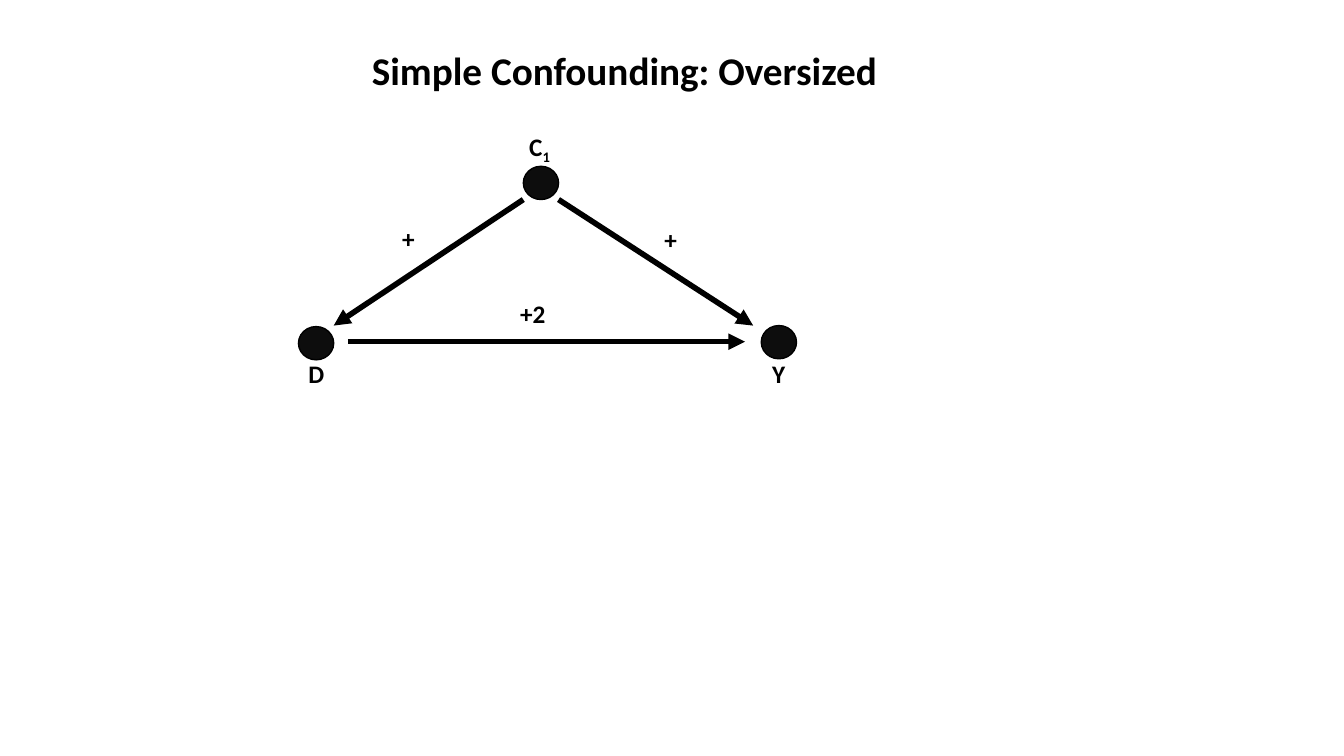
import pptx
import pptx.dml.color
import pptx.enum.shapes
import pptx.enum.text
import pptx.oxml
import pptx.oxml.ns
import pptx.util

Inches = pptx.util.Inches
BLACK = "000000"
DOT = "0D0D0D"


def color(code):
    return pptx.dml.color.RGBColor.from_string(code)


def write(slide, text, left, top, width, height=0.4, size=18, sub="", wrap=False):
    box = slide.shapes.add_textbox(*map(Inches, (left, top, width, height)))
    frame = box.text_frame
    frame.word_wrap = wrap
    frame.auto_size = pptx.enum.text.MSO_AUTO_SIZE.SHAPE_TO_FIT_TEXT
    for part, base in ((text, None), (sub, "-25000")):
        if not part:
            continue
        run = frame.paragraphs[0].add_run()
        run.text = part
        run.font.name = "Calibri"
        run.font.size = pptx.util.Pt(size)
        run.font.bold = True
        run.font.color.rgb = color(BLACK)
        if base:
            run.font._element.set("baseline", base)


def add_node(slide, left, top):
    oval = pptx.enum.shapes.MSO_SHAPE.OVAL
    node = slide.shapes.add_shape(oval, *map(Inches, (left, top, 0.35, 0.33)))
    node.shadow.inherit = False
    node.fill.solid()
    node.fill.fore_color.rgb = color(DOT)
    node.line.color.rgb = color(BLACK)
    node.line.width = pptx.util.Pt(1)


def add_arrow(slide, *ends):
    kind = pptx.enum.shapes.MSO_CONNECTOR.STRAIGHT
    arrow = slide.shapes.add_connector(kind, *map(Inches, ends))
    arrow.line.color.rgb = color(BLACK)
    arrow.line.width = pptx.util.Pt(4)
    space = pptx.oxml.ns.nsdecls("a")
    line = arrow.line._get_or_add_ln()
    line.append(pptx.oxml.parse_xml(f'<a:tailEnd {space} type="triangle"/>'))
    line.addnext(pptx.oxml.parse_xml(f"<a:effectLst {space}/>"))


def draw_title(slide, left, top, width, height):
    write(slide, "Simple Confounding: Oversized", left, top, width, height, size=28)


def draw_graph(slide, left, top):
    for x, y in ((0, 1.99), (4.59, 1.98), (2.23, 0.4)):
        add_node(slide, left + x, top + y)

    for x1, y1, x2, y2 in (
        (0.49, 2.14, 4.43, 2.14),
        (2.58, 0.73, 4.51, 1.98),
        (2.23, 0.73, 0.35, 1.98),
    ):
        add_arrow(slide, left + x1, top + y1, left + x2, top + y2)

    for text, sub, x, y, width, wrap in (
        ("D", "", 0, 2.26, 0.36, False),
        ("Y", "", 4.6, 2.26, 0.33, False),
        ("C", "1", 2.19, 0, 0.42, False),
        ("+2", "", 2.1, 1.66, 0.46, False),
        ("+", "", 3.53, 0.93, 0.36, True),
        ("+", "", 0.93, 0.92, 0.36, True),
    ):
        write(slide, text, left + x, top + y, width, sub=sub, wrap=wrap)


def main():
    deck = pptx.Presentation()
    deck.slide_width = Inches(13.33)
    deck.slide_height = Inches(7.5)
    slide = deck.slides.add_slide(deck.slide_layouts[6])
    draw_graph(slide, 2.96, 1.25)
    draw_title(slide, 3.59, 0.41, 5.27, 0.57)
    deck.save("out.pptx")


if __name__ == "__main__":
    main()
